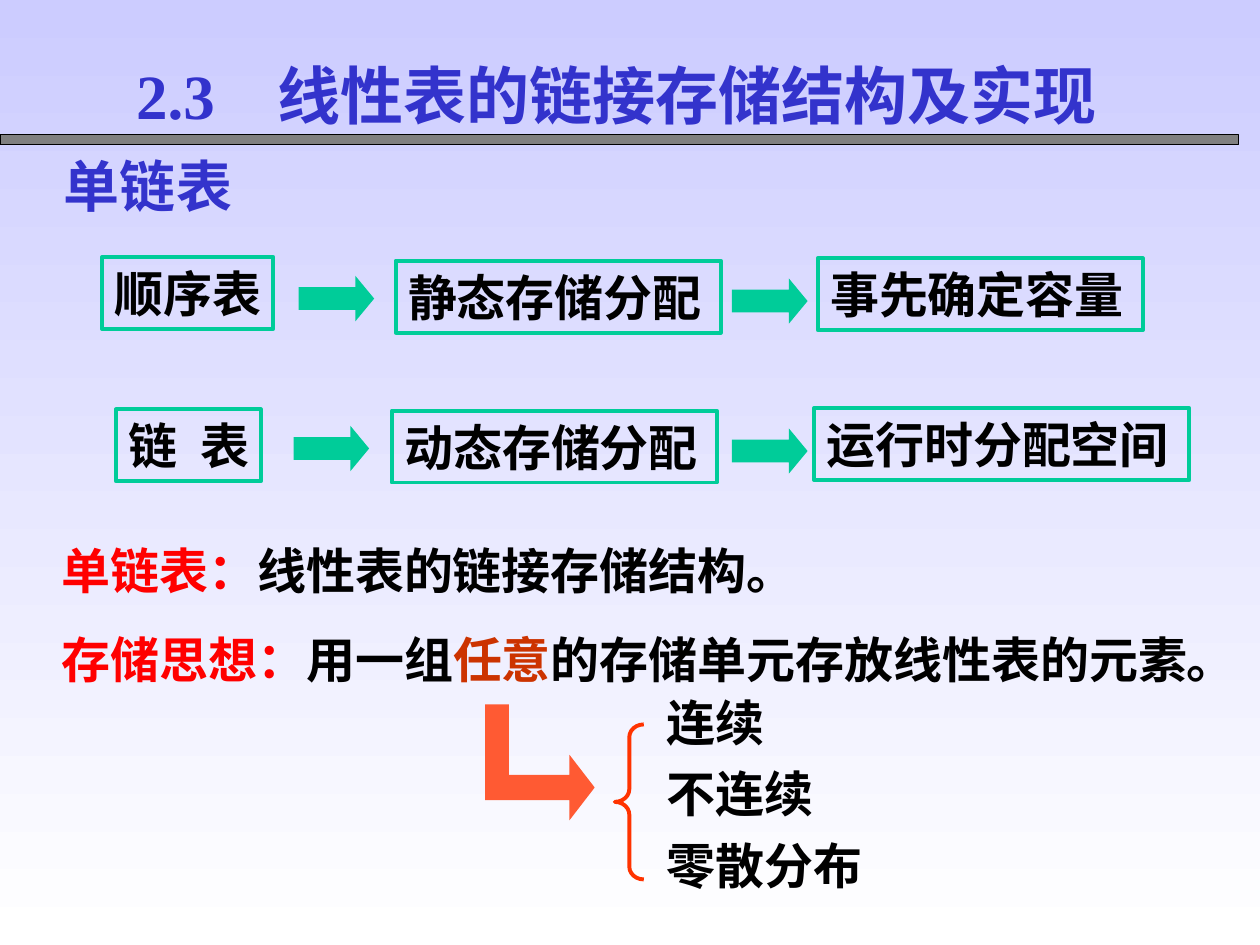
from lxml import etree
from pptx import Presentation
from pptx.dml.color import RGBColor
from pptx.enum.shapes import MSO_SHAPE
from pptx.enum.text import MSO_ANCHOR, MSO_AUTO_SIZE, PP_ALIGN
from pptx.oxml.ns import qn
from pptx.util import Inches, Pt

BLACK = RGBColor(0x00, 0x00, 0x00)
WHITE = RGBColor(0xFF, 0xFF, 0xFF)
GRAY = RGBColor(0x80, 0x80, 0x80)
LAVENDER = RGBColor(0xCC, 0xCC, 0xFF)
BLUE = RGBColor(0x33, 0x33, 0xCC)
GREEN = RGBColor(0x00, 0xCC, 0x99)
RED = RGBColor(0xFF, 0x00, 0x00)
RUST = RGBColor(0xCC, 0x33, 0x00)
ORANGE = RGBColor(0xFF, 0x5A, 0x33)
BRACE_RED = RGBColor(0xFF, 0x33, 0x00)
CJK_FONT = "Noto Sans CJK SC"


def inches(box):
    return [Inches(length) for length in box]


def format_run(run, color, size=28, font=CJK_FONT):
    run.font.size = Pt(size)
    run.font.bold = True
    run.font.name = font
    run.font.color.rgb = color
    east_asian = etree.SubElement(run.font._element, qn("a:ea"))
    east_asian.set("typeface", CJK_FONT)


def set_line(paragraph, text, color, size=28, font=CJK_FONT, tab=None):
    if tab:
        tabs = etree.SubElement(paragraph._p.get_or_add_pPr(), qn("a:tabLst"))
        etree.SubElement(tabs, qn("a:tab"), pos=str(Inches(tab)), algn="l")
    paragraph.text = text
    for run in paragraph.runs:
        format_run(run, color, size, font)


def add_preset(slide, preset, box, fill=None, line=None, width=2.25):
    shape = slide.shapes.add_shape(preset, *inches(box))
    style_shape(shape, fill, line, width)
    return shape


def style_shape(shape, fill, line=None, width=2.25):
    shape.shadow.inherit = False
    if fill is None:
        shape.fill.background()
    else:
        shape.fill.solid()
        shape.fill.fore_color.rgb = fill
    if line is None:
        shape.line.fill.background()
    else:
        shape.line.color.rgb = line
        shape.line.width = Pt(width)


def add_text_frame(slide, box):
    frame = slide.shapes.add_textbox(*inches(box)).text_frame
    frame.word_wrap = True
    return frame


def paint_background(slide):
    fill = slide.background.fill
    fill.gradient()
    fill.gradient_angle = 270
    for stop, color in zip(fill.gradient_stops, (LAVENDER, WHITE)):
        stop.color.rgb = color


def add_heading(slide, box):
    left, top, _, _ = box
    add_preset(slide, MSO_SHAPE.RECTANGLE, (0, top + 0.67, 9.83, 0.08), GRAY, BLACK, 0.75)

    title = slide.shapes.title
    title.left, title.top, title.width, title.height = inches(box)
    frame = title.text_frame
    frame.auto_size = MSO_AUTO_SIZE.NONE
    frame.vertical_anchor = MSO_ANCHOR.MIDDLE
    set_line(frame.paragraphs[0], "2.3\t线性表的链接存储结构及实现", BLUE, 36,
             "Times New Roman", tab=1.12)
    frame.paragraphs[0].alignment = PP_ALIGN.LEFT

    subtitle = add_text_frame(slide, (left - 0.57, top + 0.74, 3.57, 0.72))
    subtitle.vertical_anchor = MSO_ANCHOR.MIDDLE
    set_line(subtitle.paragraphs[0], "单链表", BLUE, 32, "Arial")
    subtitle.paragraphs[0].line_spacing = 0.9


def add_chain(slide, box, nodes, arrows):
    """Boxed terms joined by block arrows, placed from the top left of box."""
    left, top, _, height = box
    for index, (text, x, y, width) in enumerate(nodes):
        node = add_preset(slide, MSO_SHAPE.RECTANGLE,
                          (left + x, top + y, width, height), line=GREEN)
        frame = node.text_frame
        frame.word_wrap = index > 0
        frame.vertical_anchor = MSO_ANCHOR.MIDDLE
        set_line(frame.paragraphs[0], text, BLACK, tab=0.57 if "\t" in text else None)
        frame.paragraphs[0].alignment = PP_ALIGN.LEFT
    for x, y in arrows:
        arrow = add_preset(slide, MSO_SHAPE.RIGHT_ARROW,
                           (left + x, top + y, 0.6, 0.36), GREEN)
        arrow.adjustments[1] = 0.413


def add_definitions(slide, box):
    definitions = [
        [("单链表：", RED), ("线性表的链接存储结构。", BLACK)],
        [("存储思想：", RED), ("用一组", BLACK), ("任意", RUST),
         ("的存储单元存放线性表的元素。", BLACK)],
    ]
    frame = add_text_frame(slide, box)
    for index, parts in enumerate(definitions):
        paragraph = frame.add_paragraph() if index else frame.paragraphs[0]
        if index:
            paragraph.space_before = Pt(17.5)
        for text, color in parts:
            run = paragraph.add_run()
            run.text = text
            format_run(run, color)


def add_placements(slide, box):
    """Bent arrow, brace and the three ways the cells may lie in memory."""
    left, top, _, _ = box
    # Bent arrow leading down from the highlighted word
    outline = [(0.19, 0), (0.19, 0.56), (0.67, 0.56), (0.67, 0.4), (0.87, 0.66),
               (0.67, 0.92), (0.67, 0.76), (0, 0.76)]
    builder = slide.shapes.build_freeform(0, 0, scale=Inches(1) / 100)
    builder = slide.shapes.build_freeform(0, 0, scale=Inches(0.01))
    builder.add_line_segments([(x * 100, y * 100) for x, y in outline], close=True)
    style_shape(builder.convert_to_shape(Inches(left), Inches(top)), ORANGE)

    # Brace
    brace = add_preset(slide, MSO_SHAPE.LEFT_BRACE,
                       (left + 1.03, top + 0.16, 0.23, 1.23), line=BRACE_RED)
    brace.adjustments[0] = 0.44

    # Choices
    frame = add_text_frame(slide, (left + 1.34, top - 0.14, 2.28, 1.7))
    for index, choice in enumerate(("连续", "不连续", "零散分布")):
        paragraph = frame.add_paragraph() if index else frame.paragraphs[0]
        set_line(paragraph, choice, BLACK)
        if index:
            paragraph.space_before = Pt(7)


def main():
    deck = Presentation()
    deck.slide_width, deck.slide_height = Inches(10), Inches(7.5)
    slide = deck.slides.add_slide(deck.slide_layouts[5])
    paint_background(slide)
    add_heading(slide, (0.98, 0.4, 7.92, 0.7))
    add_chain(slide, (0.81, 2.04, 8.26, 0.57),
              [("顺序表", 0, 0, 1.36), ("静态存储分配", 2.33, 0.03, 2.58),
               ("事先确定容量", 5.68, 0.01, 2.58)],
              [(1.56, 0.15), (5, 0.17)])
    add_chain(slide, (0.92, 3.24, 8.52, 0.57),
              [("链\t表", 0, 0.01, 1.15), ("动态存储分配", 2.19, 0.02, 2.58),
               ("运行时分配空间", 5.54, 0, 2.98)],
              [(1.41, 0.14), (4.89, 0.16)])
    add_definitions(slide, (0.39, 4.24, 9.61, 1.28))
    add_placements(slide, (3.85, 5.59, 3.62, 1.56))
    deck.save("out.pptx")


if __name__ == "__main__":
    main()
